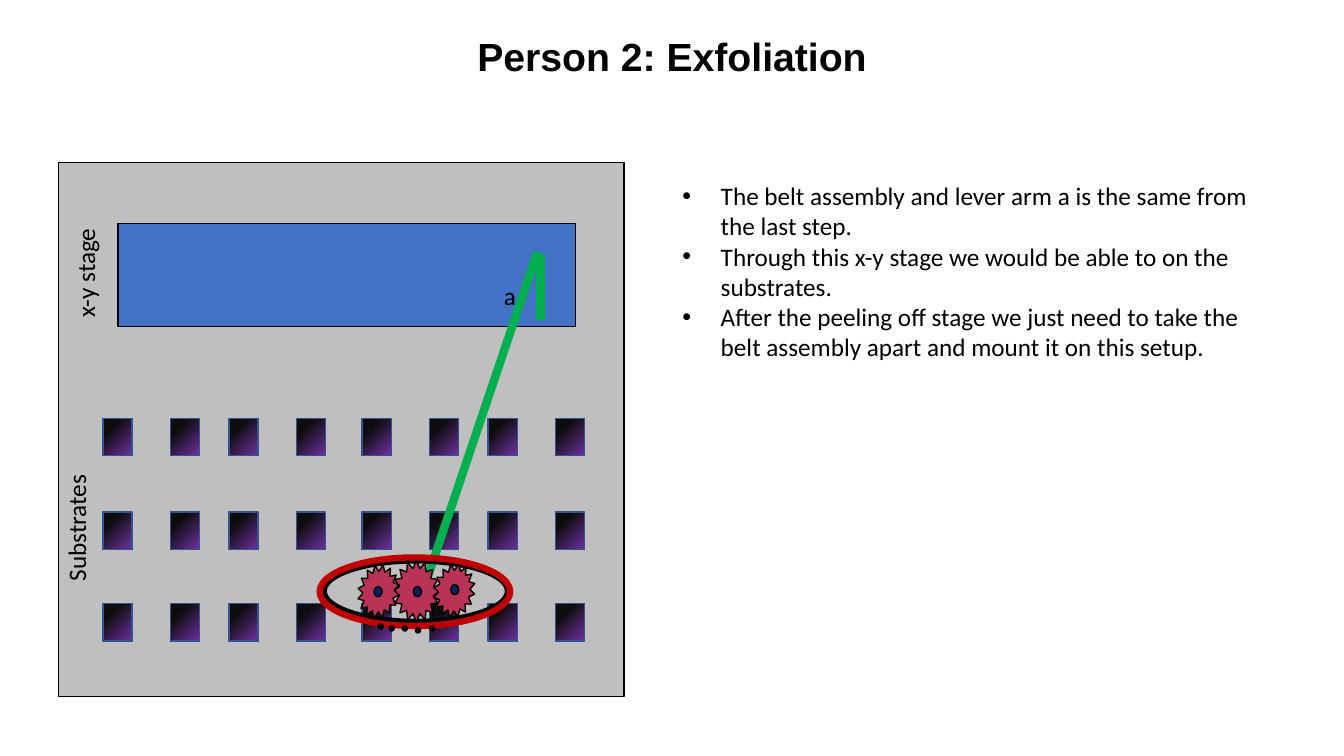
"""Build the slide on exfoliation with a belt assembly over an x-y stage."""
from lxml import etree
from pptx import Presentation
from pptx.dml.color import RGBColor
from pptx.enum.shapes import MSO_CONNECTOR, MSO_SHAPE
from pptx.enum.text import PP_ALIGN
from pptx.oxml.ns import qn
from pptx.util import Inches, Pt

RECT, OVAL, GEAR = MSO_SHAPE.RECTANGLE, MSO_SHAPE.OVAL, MSO_SHAPE.STAR_16_POINT
STRAIGHT = MSO_CONNECTOR.STRAIGHT
LEFT, CENTER = PP_ALIGN.LEFT, PP_ALIGN.CENTER

BLACK = RGBColor(0x00, 0x00, 0x00)
GRAY = RGBColor(0xBF, 0xBF, 0xBF)
BLUE = RGBColor(0x44, 0x72, 0xC4)
EDGE = RGBColor(0x32, 0x54, 0x91)
PURPLE = RGBColor(0x70, 0x30, 0xA0)
DARK = RGBColor(0x0D, 0x0D, 0x0D)
GREEN = RGBColor(0x00, 0xB0, 0x50)
CRIMSON = RGBColor(0xB8, 0x33, 0x55)
NAVY = RGBColor(0x00, 0x20, 0x60)
RED = RGBColor(0xC0, 0x00, 0x00)

TITLE = "Person 2: Exfoliation"
NOTES = [
    "The belt assembly and lever arm a is the same from the last step.",
    "Through this x-y stage we would be able to on the substrates.",
    "After the peeling off stage we just need to take the belt assembly apart "
    "and mount it on this setup.",
]
SIDE_LABELS = [("Substrates", (0.12, 5.03, 1.27, 0.4)),
               ("x-y stage", (0.27, 2.47, 1.15, 0.4))]

BOARD = (0.58, 1.61, 5.61, 5.3)
STAGE = (1.17, 2.22, 4.54, 1.02)
PAIR_LEFTS = [1.02, 2.27, 3.59, 4.84]
PAIR_GAP = 0.67
ROW_TOPS = [4.15, 5.08, 5.99]
SUBSTRATE_W, SUBSTRATE_H = 0.29, 0.37
LEVER_POST = (5.36, 2.52, 5.36, 3.17)
LEVER_ARM = (4.24, 5.73, 5.33, 2.5)

BELT_INNER = (3.21, 5.56, 1.83, 0.61)
BELT_OUTER = (3.17, 5.53, 1.89, 0.68)
GEARS = [((3.9, 5.56, 0.46, 0.61), 0),
         ((3.55, 5.6, 0.41, 0.54), 9.5),
         ((4.3, 5.59, 0.41, 0.54), 9.5)]
AXLES = [(3.71, 5.82), (4.47, 5.8), (4.1, 5.82)]
FLAKES = [(3.75, 6.19), (3.86, 6.21), (3.99, 6.21), (4.12, 6.23), (4.26, 6.21)]


def add_shape(parent, kind, box, fill, line=BLACK, width=1, rotation=0):
    sp = parent.shapes.add_shape(kind, *map(Inches, box))
    sp.shadow.inherit = False
    sp.rotation = rotation
    if fill is None:
        sp.fill.background()
    else:
        sp.fill.solid()
        sp.fill.fore_color.rgb = fill
    sp.line.color.rgb = line
    sp.line.width = Pt(width)
    return sp


def add_substrate(parent, left, top):
    sp = add_shape(parent, RECT, (left, top, SUBSTRATE_W, SUBSTRATE_H), DARK, EDGE)
    sp.fill.gradient()
    for stop, (position, color) in zip(sp.fill.gradient_stops, [(0, PURPLE), (0.73, DARK)]):
        stop.position = position
        stop.color.rgb = color
    grad = sp._element.spPr.find(qn("a:gradFill"))
    grad.remove(grad.find(qn("a:lin")))
    focus = etree.SubElement(grad, qn("a:path"), path="circle")
    etree.SubElement(focus, qn("a:fillToRect"), l="100000", t="100000")


def add_lever(parent, ends):
    cx = parent.shapes.add_connector(STRAIGHT, *map(Inches, ends))
    cx.line.color.rgb = GREEN
    cx.line.width = Pt(6)
    etree.SubElement(cx._element.spPr, qn("a:effectLst"))


def add_text(parent, box, lines, size=18, font="Calibri", bold=False, align=LEFT,
             wrap=True, rotation=0, bullets=False):
    tb = parent.shapes.add_textbox(*map(Inches, box))
    tb.rotation = rotation
    tf = tb.text_frame
    tf.word_wrap = wrap
    for i, line in enumerate(lines):
        p = tf.add_paragraph() if i else tf.paragraphs[0]
        p.alignment = align
        r = p.add_run()
        r.text = line
        r.font.size = Pt(size)
        r.font.name = font
        r.font.bold = bold
        r.font.color.rgb = BLACK
        if bullets:
            pPr = p._p.get_or_add_pPr()
            pPr.set("marL", str(Inches(0.38)))
            pPr.set("indent", str(-Inches(0.38)))
            etree.SubElement(pPr, qn("a:buFont"), typeface="Arial")
            etree.SubElement(pPr, qn("a:buChar"), char="•")


def main():
    prs = Presentation()
    prs.slide_width, prs.slide_height = Inches(13.33), Inches(7.5)
    s = prs.slides.add_slide(prs.slide_layouts[6])
    add_text(s, (0, 0.27, 13.33, 0.57), [TITLE], 28, "Arial", True, CENTER)

    setup = s.shapes.add_group_shape()
    add_shape(setup, RECT, BOARD, GRAY)
    for pair_left in PAIR_LEFTS:
        for left in (pair_left, pair_left + PAIR_GAP):
            for top in ROW_TOPS:
                add_substrate(setup, left, top)
    for label, box in SIDE_LABELS:
        add_text(setup, box, [label], wrap=False, rotation=270)
    add_shape(setup, RECT, STAGE, BLUE)
    add_lever(setup, LEVER_POST)
    add_lever(s, LEVER_ARM)

    belt = s.shapes.add_group_shape()
    add_shape(belt, OVAL, BELT_INNER, None, width=4.5)
    for box, rotation in GEARS:
        add_shape(belt, GEAR, box, CRIMSON, rotation=rotation)
    for left, top in AXLES:
        add_shape(belt, OVAL, (left, top, 0.08, 0.1), NAVY)
    add_shape(belt, OVAL, BELT_OUTER, None, RED, 4.5)
    for left, top in FLAKES:
        add_shape(belt, OVAL, (left, top, 0.05, 0.05), BLACK)

    add_text(s, (4.9, 2.73, 0.32, 0.4), ["a"], wrap=False)
    add_text(s, (6.67, 1.74, 6.09, 2.22), NOTES, bullets=True)
    prs.save("out.pptx")


if __name__ == "__main__":
    main()
